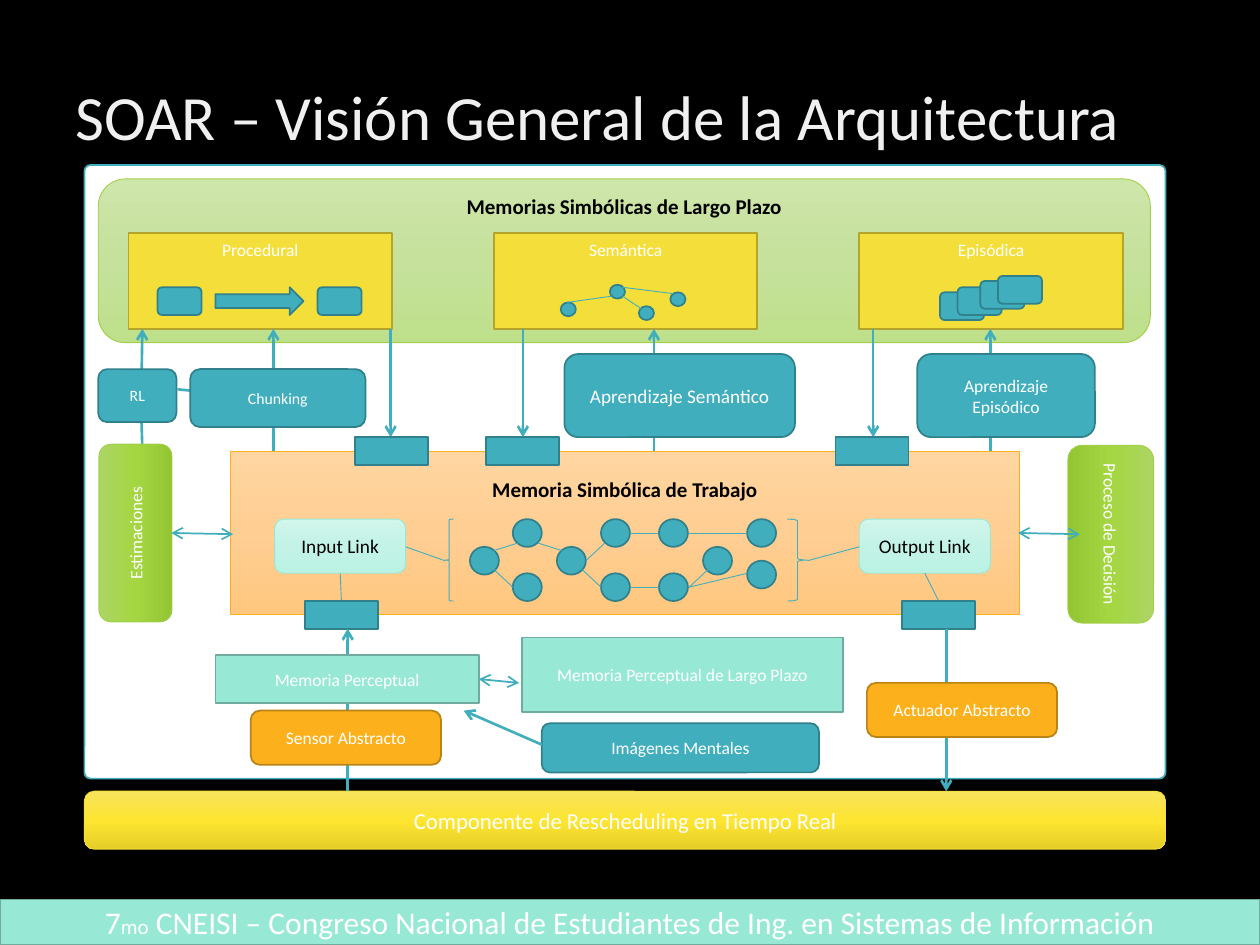
from lxml import etree
from pptx import Presentation
from pptx import util as u
from pptx.dml.color import RGBColor
from pptx.enum import shapes, text
from pptx.oxml.ns import qn

PX = 9144  # EMU per px, 100 px to the inch
FONT = "Calibri"
KIND = shapes.MSO_SHAPE
ROUND, RECT, OVAL = KIND.ROUNDED_RECTANGLE, KIND.RECTANGLE, KIND.OVAL
TOP, MIDDLE = text.MSO_ANCHOR.TOP, text.MSO_ANCHOR.MIDDLE

# Three values make a gradient; each fill has an "edge" for its outline.
COLOURS = {
    "black": "000000", "white": "FFFFFF", "title": "F0F0F0",
    "white edge": "41AEBD",
    "teal": "41AEBD", "teal edge": "30818C",
    "mint": "97E9D5", "mint edge": "70AC9E",
    "yellow": "F4DE3A", "yellow edge": "B5A42B",
    "orange": "FCB11C", "orange edge": "BA8315",
    "long term": "CEE6AA C5E19C BEE08A", "long term edge": "A2CF49",
    "working": "FFD5A1 FFCE93 FFC77F", "working edge": "FCB11C",
    "lime": "ACD564 A4D642 94C533", "lime edge": "A2CF49",
    "link": "D1F6EC C3F2E6 BAF3E4", "link edge": "97E9D5",
    "real time": "F8E35C FDE531 E5CE27", "real time edge": "F4DE3A",
}


class Diagram:
    def __init__(self, slide):
        self.slide = slide

    def colour(self, name):
        return RGBColor.from_string(COLOURS[name])

    def label(self, shape, runs, colour="white", bold=False, anchor=MIDDLE,
              align=text.PP_ALIGN.CENTER):
        """Set (words, size) runs as the shape's only paragraph."""
        frame = shape.text_frame
        frame.word_wrap = True
        frame.vertical_anchor = anchor
        paragraph = frame.paragraphs[0]
        paragraph.alignment = align
        paragraph.text = runs[0][0]
        for words, _ in runs[1:]:
            paragraph.add_run().text = words
        for run, (_, size) in zip(paragraph.runs, runs):
            run.font.name = FONT
            run.font.size = u.Pt(size)
            run.font.bold = bold
            run.font.color.rgb = self.colour(colour)
        return paragraph

    def title(self, box, words):
        shape = self.slide.shapes.add_textbox(*(v * PX for v in box))
        paragraph = self.label(shape, [(words, 36)], "title",
                               align=text.PP_ALIGN.LEFT)
        paragraph.line_spacing = 0.9

    def fill(self, shape, name):
        stops = COLOURS[name].split()
        if len(stops) == 1:
            shape.fill.solid()
            shape.fill.fore_color.rgb = self.colour(name)
            return
        shape.fill.gradient()
        shape.fill.gradient_angle = 270
        stop_list = shape.element.spPr.find(".//" + qn("a:gsLst"))
        for stop in list(stop_list):
            stop_list.remove(stop)
        for index, value in enumerate(stops):
            stop = etree.SubElement(stop_list, qn("a:gs"), pos=str(index * 50000))
            etree.SubElement(stop, qn("a:srgbClr"), val=value)

    def box(self, kind, box, fill, words="", size=10, rotation=0, corner=None,
            **style):
        shape = self.slide.shapes.add_shape(kind, *(v * PX for v in box))
        shape.shadow.inherit = False
        shape.rotation = rotation
        if corner is not None:
            shape.adjustments[0] = corner
        self.fill(shape, fill)
        shape.line.color.rgb = self.colour(fill + " edge")
        shape.line.width = u.Pt(0.5 if " " in COLOURS[fill] else 1)
        if words:
            runs = [(words, size)] if isinstance(words, str) else words
            self.label(shape, runs, **style)
        return shape

    def brace(self, kind, box):
        shape = self.slide.shapes.add_shape(kind, *(v * PX for v in box))
        shape.shadow.inherit = False
        shape.fill.background()
        shape.line.color.rgb = self.colour("teal")
        shape.line.width = u.Pt(0.5)

    def line(self, points, width=0.5, ends=()):
        """Draw a line; ends lists which of headEnd and tailEnd are arrows."""
        connector = self.slide.shapes.add_connector(
            shapes.MSO_CONNECTOR.STRAIGHT, *(v * PX for v in points))
        connector.line.color.rgb = self.colour("teal")
        connector.line.width = u.Pt(width)
        properties = connector.element.spPr
        for end in ends:
            etree.SubElement(properties.find(qn("a:ln")), qn(end), type="arrow")
        etree.SubElement(properties, qn("a:effectLst"))

    def arrow(self, *points):
        self.line(points, 1.5, ["a:tailEnd"])

    def double_arrow(self, *points):
        self.line(points, 1, ["a:headEnd", "a:tailEnd"])


def draw_long_term_memories(diagram):
    diagram.box(ROUND, (78, 142, 835, 130), "long term",
                "Memorias Simbólicas de Largo Plazo", 12,
                colour="black", bold=True, anchor=TOP)
    for index, name in enumerate(("Procedural", "Semántica", "Episódica")):
        diagram.box(RECT, (102 + 290 * index, 185, 209, 76), "yellow", name,
                    anchor=TOP)
    for left in (125, 252):
        diagram.box(ROUND, (left, 228, 35, 22), "teal")
    diagram.box(KIND.RIGHT_ARROW, (171, 228, 70, 22), "teal")
    for left, top in ((484, 226), (445, 240), (507, 243), (532, 232)):
        diagram.box(OVAL, (left, top, 12, 11), "teal")
    for link in ((494, 235, 509, 245), (494, 228, 534, 233), (486, 235, 450, 240)):
        diagram.line(link)
    for left, top in ((746, 232), (760, 228), (778, 223), (792, 219)):
        diagram.box(ROUND, (left, top, 35, 22), "teal")


def draw_working_memory(diagram):
    panel = diagram.box(ROUND, (183, 358, 626, 130), "working",
                        "Memoria Simbólica de Trabajo", 12, corner=0,
                        colour="black", bold=True, anchor=TOP)
    panel.text_frame.margin_top = 20 * PX
    high, centre, low = 412, 434, 455
    nodes = ((373, centre), (407, low), (407, high), (442, centre),
             (477, high), (477, low), (523, high), (523, low),
             (593, 445), (593, high), (558, centre))
    for left, top in nodes:
        diagram.box(OVAL, (left, top, 23, 22), "teal")
    links = ((392, 437, 411, 431), (392, 452, 407, 466), (427, 431, 446, 437),
             (465, 445, 480, 431), (500, 423, 523, 423), (462, 452, 477, 466),
             (500, 466, 523, 466), (547, 423, 593, 423), (547, 466, 562, 452),
             (547, 466, 593, 455))
    for link in links:
        diagram.line(link)
    for left, name in ((218, "Input Link"), (682, "Output Link")):
        diagram.box(ROUND, (left, 412, 104, 43), "link", name, 11, colour="black")
    diagram.brace(KIND.LEFT_BRACE, (353, 412, 7, 65))
    diagram.brace(KIND.RIGHT_BRACE, (625, 412, 16, 65))
    for link in ((641, 445, 682, 434), (353, 445, 322, 434),
                 (734, 455, 745, 477), (270, 455, 271, 477)):
        diagram.line(link)


def draw_learning(diagram):
    diagram.arrow(113, 357, 112, 324)
    diagram.arrow(112, 324, 113, 261)
    for x in (217, 519, 786):
        diagram.arrow(x, 358, x, 261)
    for x in (310, 415, 693):
        diagram.arrow(x, 261, x, 347)
    diagram.line((141, 309, 151, 310), 1.5)
    for box, name, size in (
            ((78, 293, 62, 42), "RL", 9),
            ((151, 293, 139, 46), "Chunking", 9),
            ((448, 281, 183, 66), "Aprendizaje Semántico", 11),
            ((728, 281, 141, 66), "Aprendizaje Episódico", 10)):
        diagram.box(ROUND, box, "teal", name, size)


def draw_processes(diagram):
    diagram.box(ROUND, (37, 394, 141, 58), "lime", "Estimaciones", rotation=270)
    diagram.box(ROUND, (811, 390, 141, 68), "lime", "Proceso de Decisión",
                rotation=90)
    diagram.double_arrow(136, 423, 185, 424)
    diagram.double_arrow(808, 423, 857, 424)
    for left, top in ((282, 347), (386, 347), (663, 347), (242, 477), (716, 477)):
        diagram.box(RECT, (left, top, 58, 22), "teal")


def draw_perception_and_action(diagram):
    diagram.box(ROUND, (67, 628, 858, 46), "real time",
                "Componente de Rescheduling en Tiempo Real", 13)
    diagram.arrow(276, 628, 276, 499)
    diagram.arrow(751, 499, 751, 628)
    diagram.box(ROUND, (199, 564, 151, 43), "orange", "Sensor Abstracto")
    diagram.box(ROUND, (688, 542, 151, 43), "orange", "Actuador Abstracto")
    diagram.box(RECT, (171, 520, 209, 38), "mint", "Memoria Perceptual")
    diagram.box(RECT, (414, 506, 255, 59), "mint",
                "Memoria Perceptual de Largo Plazo")
    diagram.box(ROUND, (430, 574, 220, 39), "teal", "Imágenes Mentales")
    diagram.double_arrow(380, 539, 412, 542)
    diagram.arrow(430, 591, 368, 564)


def main():
    presentation = Presentation()
    presentation.slide_width, presentation.slide_height = 1000 * PX, 750 * PX
    slide = presentation.slides.add_slide(presentation.slide_layouts[6])
    diagram = Diagram(slide)
    slide.background.fill.solid()
    slide.background.fill.fore_color.rgb = diagram.colour("black")

    diagram.title((50, 60, 900, 71), "SOAR – Visión General de la Arquitectura")
    diagram.box(RECT, (0, 714, 1000, 36), "mint", [
        ("7", 18), ("mo", 12),
        (" CNEISI – Congreso Nacional de Estudiantes de Ing. en Sistemas de"
         " Información", 18)])
    diagram.box(ROUND, (67, 131, 858, 487), "white", corner=0.01)
    draw_long_term_memories(diagram)
    draw_working_memory(diagram)
    draw_learning(diagram)
    draw_processes(diagram)
    draw_perception_and_action(diagram)
    presentation.save("out.pptx")


if __name__ == "__main__":
    main()
